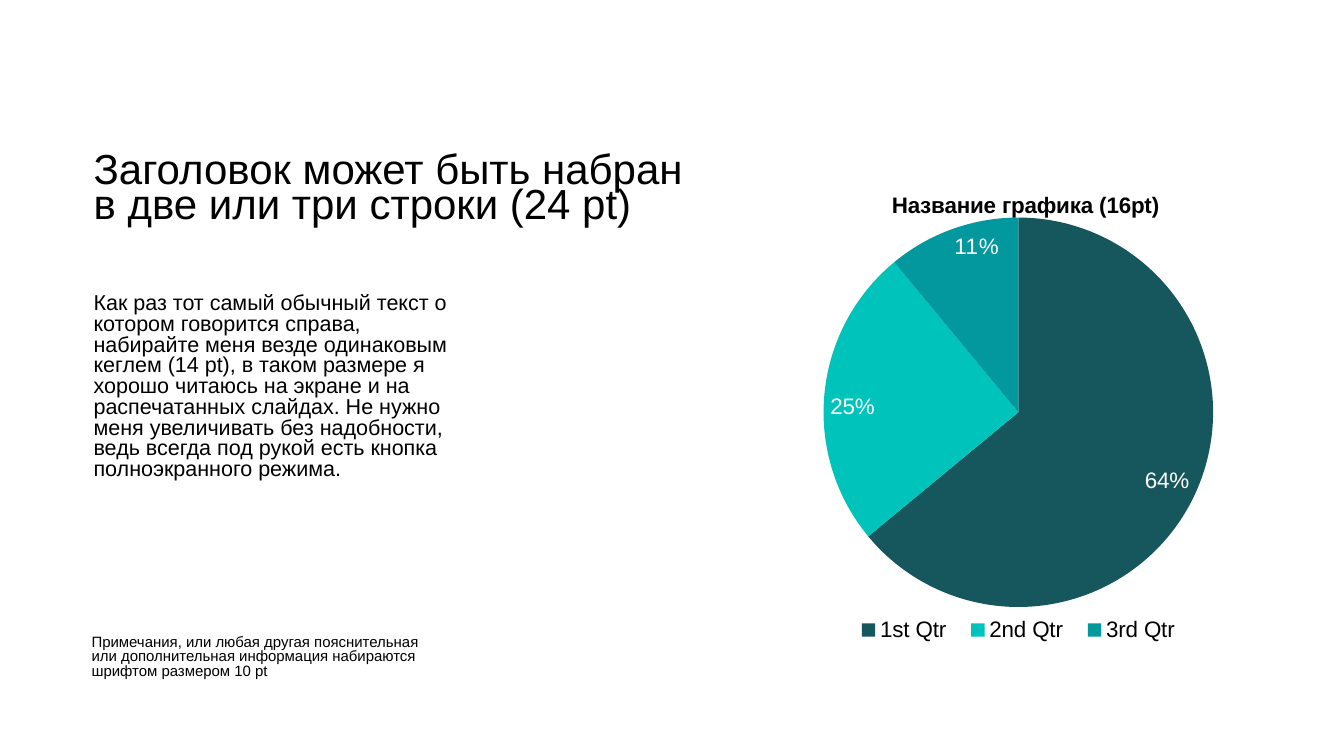
"""Builds a text slide with a quarterly pie chart."""
import pptx
import pptx.chart.data
import pptx.dml.color
import pptx.enum.chart
import pptx.enum.text
import pptx.oxml
import pptx.oxml.ns
import pptx.util
from pptx.util import Inches

BLACK = pptx.dml.color.RGBColor(0x00, 0x00, 0x00)
WHITE = pptx.dml.color.RGBColor(0xFF, 0xFF, 0xFF)
DARK_TEAL = pptx.dml.color.RGBColor(0x16, 0x57, 0x5D)
TURQUOISE = pptx.dml.color.RGBColor(0x00, 0xC4, 0xBB)
TEAL = pptx.dml.color.RGBColor(0x02, 0x98, 0x9E)
FONT = "Arial"

HEADING = "Заголовок может быть набран\vв две или три строки (24 pt)"
BODY = (
    "Как раз тот самый обычный текст о котором говорится справа, "
    "набирайте меня везде одинаковым кеглем (14 pt), в таком размере я "
    "хорошо читаюсь на экране и на распечатанных слайдах. Не нужно меня "
    "увеличивать без надобности, ведь всегда под рукой есть кнопка "
    "полноэкранного режима."
)
NOTE = (
    "Примечания, или любая другая пояснительная или дополнительная "
    "информация набираются шрифтом размером 10 pt"
)
CHART_TITLE = "Название графика (16pt)"
QUARTERS = [
    ("1st Qtr", 64, DARK_TEAL),
    ("2nd Qtr", 25, TURQUOISE),
    ("3rd Qtr", 11, TEAL),
]
TITLE_PLACE = {"x": 0.17, "y": 0.01}
PLOT_PLACE = {"x": 0.005, "y": 0.075, "w": 0.99, "h": 0.831}
LEGEND_PLACE = {"x": 0.06, "y": 0.925, "w": 0.88, "h": 0.06}


def style_font(font, size, color=BLACK, bold=False):
    """Set the typeface, size, colour and weight of a font."""
    font.name = FONT
    font.size = pptx.util.Pt(size)
    font.color.rgb = color
    font.bold = bold


def add_text(slide, box, text, size, line_spacing, space_before):
    """Add a wrapped one-paragraph text box."""
    frame = slide.shapes.add_textbox(*map(Inches, box)).text_frame
    frame.word_wrap = True
    frame.vertical_anchor = pptx.enum.text.MSO_ANCHOR.TOP
    paragraph = frame.paragraphs[0]
    paragraph.text = text
    paragraph.line_spacing = line_spacing
    paragraph.space_before = pptx.util.Pt(space_before)
    for run in paragraph.runs:
        style_font(run.font, size)


def place_part(chart, tag, place, after=None, target=""):
    """Fix a chart part at fractions of the chart size."""
    qn = pptx.oxml.ns.qn
    part = chart.element.find(f".//{qn(tag)}")
    for layout in part.findall(qn("c:layout")):
        part.remove(layout)
    sides = "".join(f'<c:{side} val="{value}"/>' for side, value in place.items())
    layout = pptx.oxml.parse_xml(
        f"<c:layout {pptx.oxml.ns.nsdecls('c')}><c:manualLayout>"
        f'{target}<c:xMode val="edge"/><c:yMode val="edge"/>'
        f"{sides}</c:manualLayout></c:layout>"
    )
    if after:
        part.find(qn(after)).addnext(layout)
    else:
        part.insert(0, layout)


def add_title(chart, text):
    """Give the chart a bold title that takes no room from the plot."""
    chart.has_title = True
    title = chart.chart_title
    title.text_frame.text = text
    style_font(title.text_frame.paragraphs[0].runs[0].font, 16, bold=True)
    for overlay in title.element.findall(pptx.oxml.ns.qn("c:overlay")):
        overlay.set("val", "1")


def add_pie(slide, box):
    """Add the pie chart with its title, legend and percent labels."""
    data = pptx.chart.data.CategoryChartData()
    data.categories = [name for name, _, _ in QUARTERS]
    data.add_series("Series 1", [share for _, share, _ in QUARTERS])
    chart = slide.shapes.add_chart(
        pptx.enum.chart.XL_CHART_TYPE.PIE, *map(Inches, box), data
    ).chart
    style_font(chart.font, 10)
    add_title(chart, CHART_TITLE)

    chart.has_legend = True
    chart.legend.position = pptx.enum.chart.XL_LEGEND_POSITION.BOTTOM
    chart.legend.include_in_layout = True
    style_font(chart.legend.font, 16)

    pie = chart.plots[0]
    pie.vary_by_categories = True
    for index, (_, _, color) in enumerate(QUARTERS):
        fill = pie.series[0].points[index].format.fill
        fill.solid()
        fill.fore_color.rgb = color

    labels = pie.series[0].data_labels
    labels.show_value = False
    labels.show_percentage = True
    labels.number_format = "0%"
    labels.number_format_is_linked = False
    labels.position = pptx.enum.chart.XL_LABEL_POSITION.INSIDE_END
    style_font(labels.font, 16, WHITE)

    place_part(chart, "c:title", TITLE_PLACE, after="c:tx")
    place_part(chart, "c:plotArea", PLOT_PLACE,
               target='<c:layoutTarget val="inner"/>')
    place_part(chart, "c:legend", LEGEND_PLACE, after="c:legendPos")


def main():
    """Build the slide and save it."""
    deck = pptx.Presentation()
    deck.slide_width = Inches(13.33)
    deck.slide_height = Inches(7.5)
    slide = deck.slides.add_slide(deck.slide_layouts[6])
    add_text(slide, (0.83, 1.5, 10.98, 0.87), HEADING, 30, 0.7, 12)
    add_text(slide, (0.83, 2.87, 3.81, 2.53), BODY, 15.4, 0.8, 12.5)
    add_text(slide, (0.81, 6.26, 3.58, 0.6), NOTE, 10.7, 0.8, 23)
    add_pie(slide, (8.14, 1.81, 3.92, 4.65))
    deck.save("out.pptx")


if __name__ == "__main__":
    main()
